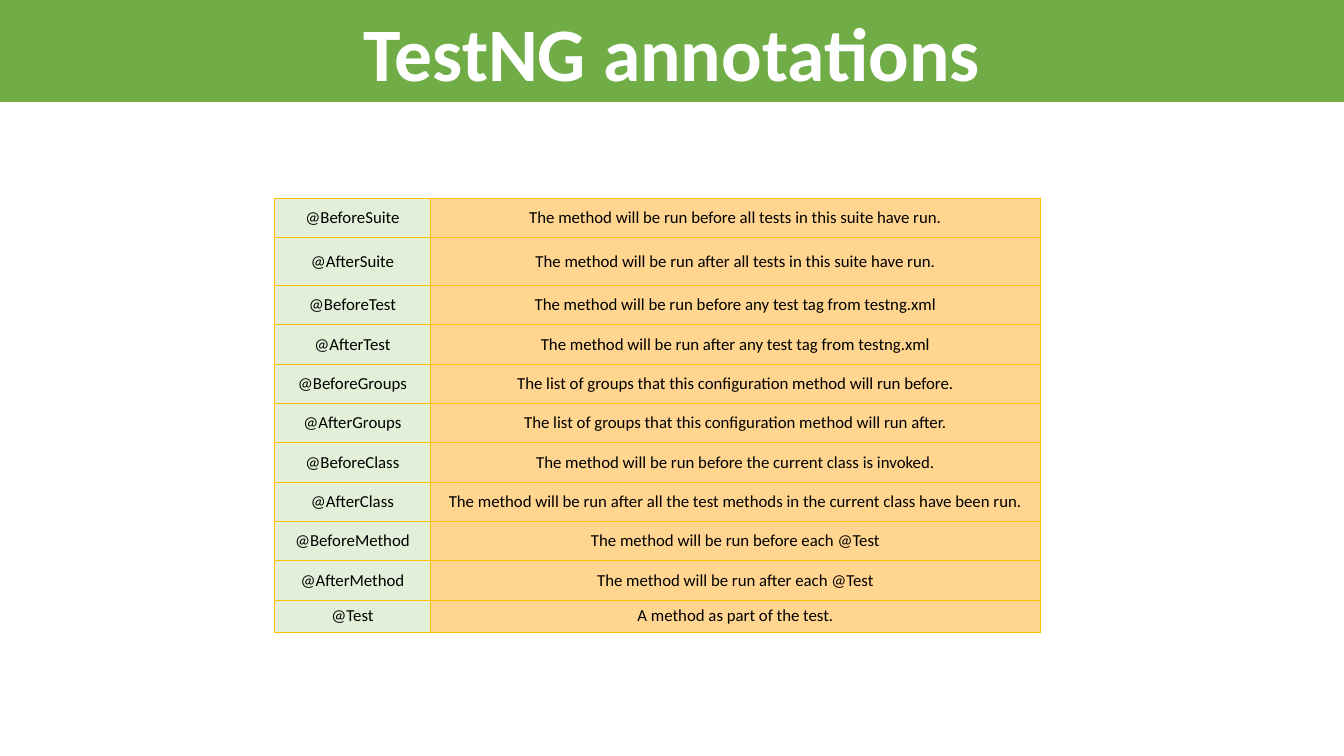
"""Build a slide with a table of TestNG annotations."""
from lxml.etree import SubElement
from pptx import Presentation
from pptx.dml.color import RGBColor
from pptx.enum.text import MSO_ANCHOR as Anchor, MSO_AUTO_SIZE as AutoSize, PP_ALIGN as Align
from pptx.oxml.ns import qn
from pptx.util import Pt

TITLE = "TestNG annotations"
ANNOTATIONS = [
    ("@BeforeSuite", "The\u00a0method will be run before all tests in this suite have run."),
    ("@AfterSuite", "The\u00a0method will be run after all tests in this suite have run."),
    ("@BeforeTest", "The\u00a0method will be run before any test tag from testng.xml"),
    ("@AfterTest", "The\u00a0method will be run after any test tag from testng.xml"),
    ("@BeforeGroups", "The list of\u00a0groups that this configuration method will run before."),
    ("@AfterGroups", "The list of\u00a0groups that this configuration method will run after."),
    ("@BeforeClass", "The\u00a0method will be run before the current class is\u00a0invoked."),
    ("@AfterClass", "The\u00a0method will be run after all the test methods in the current class have been\u00a0run."),
    ("@BeforeMethod", "The\u00a0method will be run before each @Test"),
    ("@AfterMethod", "The\u00a0method will be run after each @Test"),
    ("@Test", "A method as part of the test."),
]
COLORS = {"banner": "70AD47", "title": "FFFFFF", "text": "000000",
          "name": "E2F0D9", "description": "FFD590", "border": "FFC000"}
SLIDE_WIDTH, SLIDE_HEIGHT, BANNER_HEIGHT = 960, 540, 72.7
TABLE_LEFT, TABLE_TOP = 196, 141.6
COLUMN_WIDTHS = (111.6, 435.6)
ROW_HEIGHT = 28.1
SPECIAL_HEIGHTS = {"@AfterSuite": 34.2, "@Test": 22.8}


def set_fill(target, color):
    target.fill.solid()
    target.fill.fore_color.rgb = RGBColor.from_string(COLORS[color])


def write_text(frame, text, size, color, bold=False):
    frame.word_wrap = True
    paragraph = frame.paragraphs[0]
    paragraph.alignment = Align.CENTER
    run = paragraph.add_run()
    run.text = text
    run.font.name = "Calibri"
    run.font.size = Pt(size)
    run.font.bold = bold
    run.font.color.rgb = RGBColor.from_string(COLORS[color])


def add_borders(cell, color, width):
    properties = cell._tc.get_or_add_tcPr()
    for position, side in enumerate(("a:lnL", "a:lnR", "a:lnT", "a:lnB")):
        line = SubElement(properties, qn(side), w=str(Pt(width)))
        SubElement(SubElement(line, qn("a:solidFill")), qn("a:srgbClr"), val=COLORS[color])
        properties.insert(position, line)


presentation = Presentation()
presentation.slide_width, presentation.slide_height = Pt(SLIDE_WIDTH), Pt(SLIDE_HEIGHT)
slide = presentation.slides.add_slide(presentation.slide_layouts[5])

banner = slide.shapes.title
banner.left, banner.top = Pt(0), Pt(0)
banner.width, banner.height = Pt(SLIDE_WIDTH), Pt(BANNER_HEIGHT)
set_fill(banner, "banner")
banner.text_frame.auto_size = AutoSize.NONE
banner.text_frame.vertical_anchor = Anchor.MIDDLE
write_text(banner.text_frame, TITLE, size=54, color="title", bold=True)

heights = [SPECIAL_HEIGHTS.get(name, ROW_HEIGHT) for name, _ in ANNOTATIONS]
table = slide.shapes.add_table(
    len(ANNOTATIONS), len(COLUMN_WIDTHS), Pt(TABLE_LEFT), Pt(TABLE_TOP),
    Pt(sum(COLUMN_WIDTHS)), Pt(sum(heights))).table
table.first_row = table.horz_banding = False
for column, width in zip(table.columns, COLUMN_WIDTHS):
    column.width = Pt(width)
for row, height, texts in zip(table.rows, heights, ANNOTATIONS):
    row.height = Pt(height)
    for cell, text, fill in zip(row.cells, texts, ("name", "description")):
        cell.margin_left = cell.margin_right = Pt(4.5)
        cell.margin_top = cell.margin_bottom = Pt(0)
        cell.vertical_anchor = Anchor.MIDDLE
        set_fill(cell, fill)
        add_borders(cell, "border", width=0.5)
        write_text(cell.text_frame, text, size=12, color="text")

presentation.save("out.pptx")
